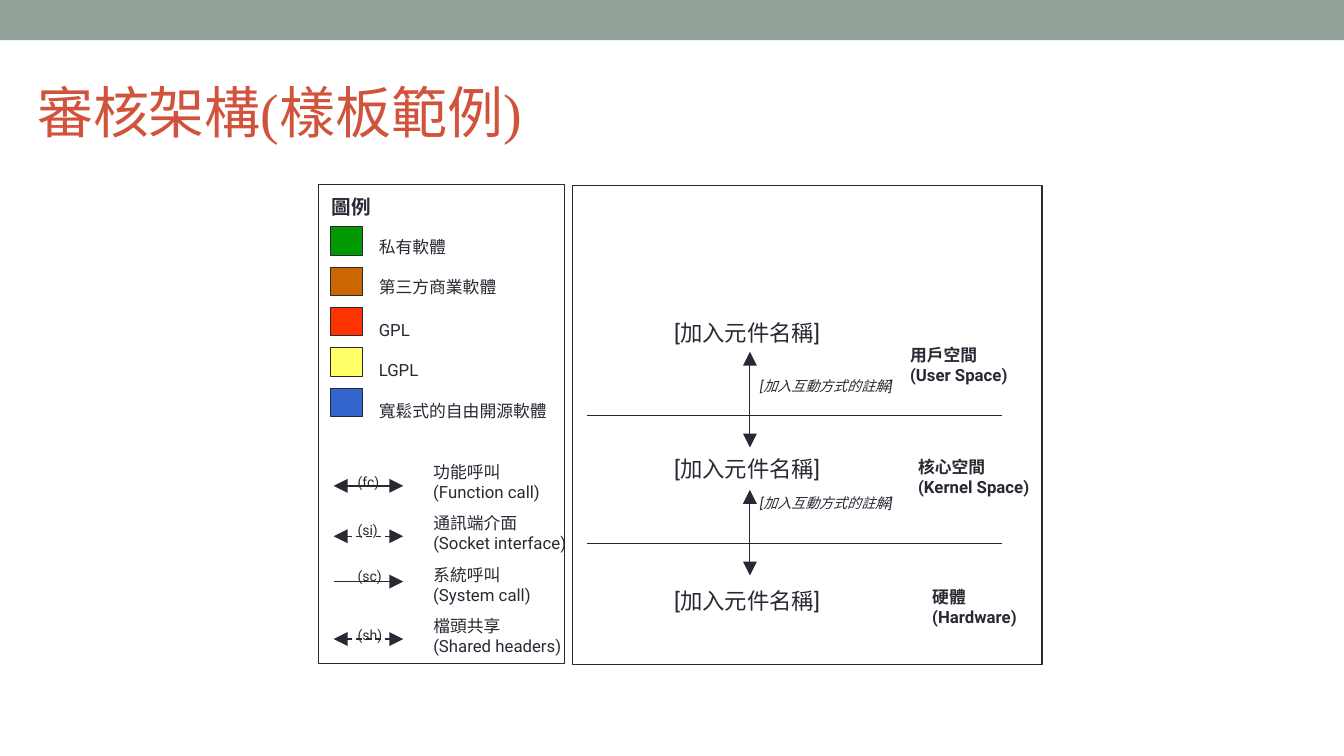
from lxml import etree
from pptx import Presentation
from pptx import util as u
from pptx.dml.color import RGBColor
from pptx.enum import dml, shapes, text
from pptx.oxml.ns import qn

# The slide is a grid of 40 columns by 22.5 rows, three cells to the inch.
CELL = u.Inches(1) / 3
INK = "292934"
BODY_FONT = "Roboto"
TITLE_FONT = "Times New Roman"

LICENCES = [  # label, swatch colour, label row
    ("私有軟體", "009900", 6.9),
    ("第三方商業軟體", "CC6600", 8.1),
    ("GPL", "FF3300", 9.36),
    ("LGPL", "FFFF66", 10.56),
    ("寬鬆式的自由開源軟體", "3366CC", 11.79),
]
DASH = dml.MSO_LINE.DASH
CALLS = [  # label lines, label width, code, code row, arrow row, ends, dash
    (["功能呼叫(Function call)"], 4.11, "(fc)", 13.95, 14.46, "both", None),
    (["通訊端介面", "(Socket interface)"], 4.83, "(si)", 15.36, 15.96, "both", DASH),
    (["系統呼叫", "(System call)"], 4.11, "(sc)", 16.74, 17.31, "end", None),
    (["檔頭共享", "(Shared headers)"], 5.04, "(sh)", 18.51, 19.02, "both", DASH),
]
ZONES = [  # name lines, column, row, component row
    (["用戶空間", "(User Space)"], 26.79, 10.11, 9.36),
    (["核心空間", "(Kernel Space)"], 27.03, 13.44, 13.41),
    (["硬體", "(Hardware)"], 27.45, 17.31, 17.34),
]
BOUNDARIES = [  # divider row, arrow top, arrow bottom, note row
    (12.36, 10.47, 13.32, 11.1),
    (16.17, 14.58, 17.13, 14.58),
]


def grid(*cells):
    return [u.Emu(round(cell * CELL)) for cell in cells]


def colour(hex_code):
    return RGBColor.from_string(hex_code)


def add_box(slide, area, fill=None, outline=None):
    box = slide.shapes.add_shape(shapes.MSO_SHAPE.RECTANGLE, *grid(*area))
    box.shadow.inherit = False
    if fill:
        box.fill.solid()
        box.fill.fore_color.rgb = colour(fill)
    else:
        box.fill.background()
    if outline:
        box.line.color.rgb = colour(INK)
        box.line.width = u.Pt(outline)
    else:
        box.line.fill.background()


def add_label(slide, area, lines, size=12, font=BODY_FONT, ink=INK,
              bold=False, italic=False, anchor=text.MSO_ANCHOR.TOP):
    frame = slide.shapes.add_textbox(*grid(*area)).text_frame
    frame.word_wrap = True
    frame.vertical_anchor = anchor
    for index, line in enumerate(lines):
        paragraph = frame.add_paragraph() if index else frame.paragraphs[0]
        run = paragraph.add_run()
        run.text = line
        run.font.size = u.Pt(size)
        run.font.name = font
        run.font.bold = bold
        run.font.italic = italic
        run.font.color.rgb = colour(ink)


def add_line(slide, start, end, width=1, ends=None, dash=None):
    """Draw a line whose arrowheads are at "both" ends, the "end" or nowhere."""
    line = slide.shapes.add_connector(shapes.MSO_CONNECTOR.STRAIGHT,
                                      *grid(*start, *end))
    line.line.color.rgb = colour(INK)
    line.line.width = u.Pt(width)
    if dash:
        line.line.dash_style = dash
    tips = {"both": ["a:headEnd", "a:tailEnd"], "end": ["a:tailEnd"]}.get(ends, [])
    for tip in tips:
        etree.SubElement(line.line._get_or_add_ln(), qn(tip),
                         type="triangle", w="lg", len="lg")
    etree.SubElement(line._element.spPr, qn("a:effectLst"))


def add_legend(slide):
    add_box(slide, (9.48, 5.49, 7.32, 14.25), outline=1)
    add_label(slide, (9.57, 5.64, 2.58, 1.02), ["圖例"], size=14, bold=True)
    for index, (licence, fill, row) in enumerate(LICENCES):
        add_box(slide, (9.84, 6.75 + 1.2 * index, 0.94, 0.85), fill, 0.75)
        add_label(slide, (10.98, row, 5.73, 0.9), [licence])
    for index, (lines, width, code, code_row, row, ends, dash) in enumerate(CALLS):
        add_line(slide, (9.93, row), (12, row), ends=ends, dash=dash)
        add_label(slide, (12.6, 13.59 + 1.53 * index, width, 0.9), lines)
        add_label(slide, (10.35, code_row, 1.32, 0.81), [code], size=10)


def add_architecture(slide):
    add_box(slide, (17.04, 5.52, 13.98, 14.25), outline=1)
    for lines, column, row, component_row in ZONES:
        add_label(slide, (column, row, 4.14, 0.9), lines, bold=True)
        add_label(slide, (19.77, component_row, 5.16, 1.11),
                  ["[加入元件名稱]"], size=16)
    for divider, top, bottom, note_row in BOUNDARIES:
        add_line(slide, (17.46, divider), (29.82, divider))
        add_line(slide, (22.32, top), (22.32, bottom), width=0.75, ends="both")
        add_label(slide, (22.32, note_row, 5.43, 0.81),
                  ["[加入互動方式的註解]"], size=10, italic=True)


def main():
    deck = Presentation()
    deck.slide_width, deck.slide_height = grid(40, 22.5)
    slide = deck.slides.add_slide(deck.slide_layouts[6])
    add_box(slide, (0, 0, 40, 1.2), fill="93A299")
    add_label(slide, (0.81, 1.68, 36, 3.24), ["審核架構(樣板範例)"], size=40,
              font=TITLE_FONT, ink="D2533C", anchor=text.MSO_ANCHOR.MIDDLE)
    add_legend(slide)
    add_architecture(slide)
    deck.save("out.pptx")


if __name__ == "__main__":
    main()
